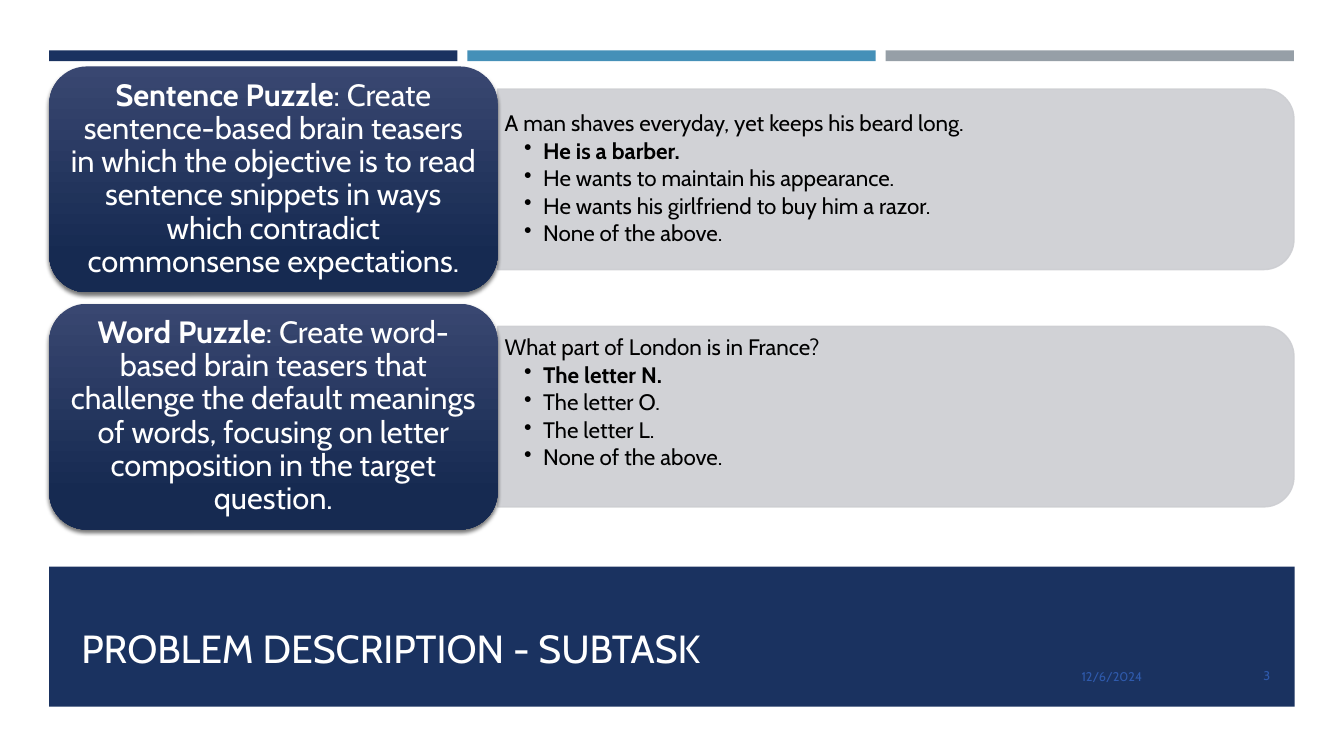
import pptx
import pptx.dml.color
import pptx.enum.shapes
import pptx.enum.text
import pptx.util
from dataclasses import dataclass
from lxml import etree
from pptx.oxml.ns import qn

Cm = pptx.util.Cm
Pt = pptx.util.Pt
RGB = pptx.dml.color.RGBColor.from_string
MSO_SHAPE = pptx.enum.shapes.MSO_SHAPE
ALIGN = pptx.enum.text.PP_ALIGN
ANCHOR = pptx.enum.text.MSO_ANCHOR


@dataclass(frozen=True)
class Theme:
    font: str = "Cabin"
    navy: str = "1A3260"
    blue: str = "4590B8"
    gray: str = "969FA7"
    panel: str = "CDCED2"
    card_top: str = "394771"
    card_bottom: str = "162A51"
    white: str = "FFFFFF"
    black: str = "000000"
    footer: str = "2F5AAC"
    title_size: int = 28
    card_size: int = 22
    list_size: int = 16
    footer_size: int = 9


theme = Theme()


def write_text(frame, paragraphs, *, size, color, align=ALIGN.LEFT, anchor=ANCHOR.MIDDLE,
               inset=(0.25, 0.13), line_spacing=1.0, space_after=0, bullets=False):
    """Fill a text frame; each paragraph is a list of (text, bold) runs, the first never bulleted."""
    frame.word_wrap = True
    frame.vertical_anchor = anchor
    frame.margin_left = frame.margin_right = Cm(inset[0])
    frame.margin_top = frame.margin_bottom = Cm(inset[1])
    for index, runs in enumerate(paragraphs):
        paragraph = frame.paragraphs[0] if index == 0 else frame.add_paragraph()
        paragraph.alignment = align
        paragraph.line_spacing = line_spacing
        paragraph.space_after = Pt(space_after)
        for text, bold in runs:
            run = paragraph.add_run()
            run.text = text
            run.font.name = theme.font
            run.font.size = Pt(size)
            run.font.bold = bold
            run.font.color.rgb = RGB(color)
        if bullets and index:
            properties = paragraph._p.get_or_add_pPr()
            properties.set("marL", str(Cm(0.97)))
            properties.set("indent", str(-Cm(0.48)))
            etree.SubElement(properties, qn("a:buChar"), char="•")


def add_block(kind, left, top, width, height, color=None):
    """Add a preset shape in cm, without shadow or outline, filled if a colour is given."""
    shape = slide.shapes.add_shape(kind, Cm(left), Cm(top), Cm(width), Cm(height))
    shape.shadow.inherit = False
    shape.line.fill.background()
    if color:
        shape.fill.solid()
        shape.fill.fore_color.rgb = RGB(color)
    return shape


presentation = pptx.Presentation()
presentation.slide_width = Cm(33.87)
presentation.slide_height = Cm(19.05)
slide = presentation.slides.add_slide(presentation.slide_layouts[6])

# Top bars and title band
MARGIN = 1.24
BAR_STEP = 10.54
for index, color in enumerate((theme.navy, theme.blue, theme.gray)):
    add_block(MSO_SHAPE.RECTANGLE, MARGIN + index * BAR_STEP, 1.27, 10.29, 0.27, color)
add_block(MSO_SHAPE.RECTANGLE, MARGIN, 14.28, 31.39, 3.53, theme.navy)

title = slide.shapes.add_textbox(Cm(1.8), Cm(15.15), Cm(32), Cm(1.9))
write_text(title.text_frame, [[("PROBLEM DESCRIPTION - SUBTASK", False)]],
           size=theme.title_size, color=theme.white, anchor=ANCHOR.BOTTOM)

# Puzzle rows: name, description, question, answers (the first is right), lift of the list
puzzles = [
    ("Sentence Puzzle",
     ": Create sentence-based brain teasers in which the objective is to "
     "read sentence snippets in ways which contradict commonsense expectations.",
     "A man shaves everyday, yet keeps his beard long.",
     ["He is a barber.", "He wants to maintain his appearance.",
      "He wants his girlfriend to buy him a razor.", "None of the above."], 0),
    ("Word Puzzle",
     ": Create word-based brain teasers that challenge the default meanings "
     "of words, focusing on letter composition in the target question.",
     "What part of London is in France?",
     ["The letter N.", "The letter O.", "The letter L.", "None of the above."], 0.33),
]
ROW_CENTER, ROW_STEP = 4.52, 5.98
CARD_WIDTH, CARD_HEIGHT = 11.3, 5.69
PANEL_LENGTH, PANEL_DEPTH = 20.07, 4.55
LIST_HEIGHT = 4.11
panel_left = MARGIN + CARD_WIDTH

for row, (name, description, question, answers, lift) in enumerate(puzzles):
    center = ROW_CENTER + row * ROW_STEP

    # The panel is upright before its quarter turn, so its rounded top faces right
    panel = add_block(MSO_SHAPE.ROUND_2_SAME_RECTANGLE,
                      panel_left + (PANEL_LENGTH - PANEL_DEPTH) / 2, center - PANEL_LENGTH / 2,
                      PANEL_DEPTH, PANEL_LENGTH, theme.panel)
    panel.rotation = 90
    panel.line.color.rgb = RGB(theme.panel)
    panel.line.width = Pt(1)
    for color_element in panel._element.spPr.iter(qn("a:srgbClr")):
        etree.SubElement(color_element, qn("a:alpha"), val="90000")

    answer_box = slide.shapes.add_textbox(Cm(panel_left), Cm(center - LIST_HEIGHT / 2 - lift),
                                          Cm(19.86), Cm(LIST_HEIGHT))
    lines = [[(question, False)]] + [[(answer, i == 0)] for i, answer in enumerate(answers)]
    write_text(answer_box.text_frame, lines, size=theme.list_size, color=theme.black,
               inset=(0.18, 0.08), line_spacing=0.9, space_after=2.4, bullets=True)

    card = add_block(MSO_SHAPE.ROUNDED_RECTANGLE, MARGIN, center - CARD_HEIGHT / 2,
                     CARD_WIDTH, CARD_HEIGHT)
    card.fill.gradient()
    card.fill.gradient_angle = 270
    stops = zip(card.fill.gradient_stops, (0, 0.84), (theme.card_top, theme.card_bottom))
    for stop, position, color in stops:
        stop.position = position
        stop.color.rgb = RGB(color)
    shadow = etree.SubElement(card._element.spPr.find(qn("a:effectLst")), qn("a:outerShdw"),
                              blurRad=str(Pt(3)), dist=str(Pt(2)), dir="5400000", rotWithShape="0")
    shadow_color = etree.SubElement(shadow, qn("a:srgbClr"), val=theme.black)
    etree.SubElement(shadow_color, qn("a:alpha"), val="55000")
    # The rounded corners already hold the text in, so the inset stays small
    write_text(card.text_frame, [[(name, True), (description, False)]], size=theme.card_size,
               color=theme.white, align=ALIGN.CENTER, inset=(0.22, 0.13), line_spacing=0.9)

# Date and slide number
for left, width, text, spacing in ((21.13, 7.9, "12/6/2024", 1.0), (29.34, 2.92, "3", 0.9)):
    footer = slide.shapes.add_textbox(Cm(left), Cm(16.54), Cm(width), Cm(1.02))
    write_text(footer.text_frame, [[(text, False)]], size=theme.footer_size, color=theme.footer,
               align=ALIGN.RIGHT, line_spacing=spacing, space_after=6)

presentation.save("out.pptx")
